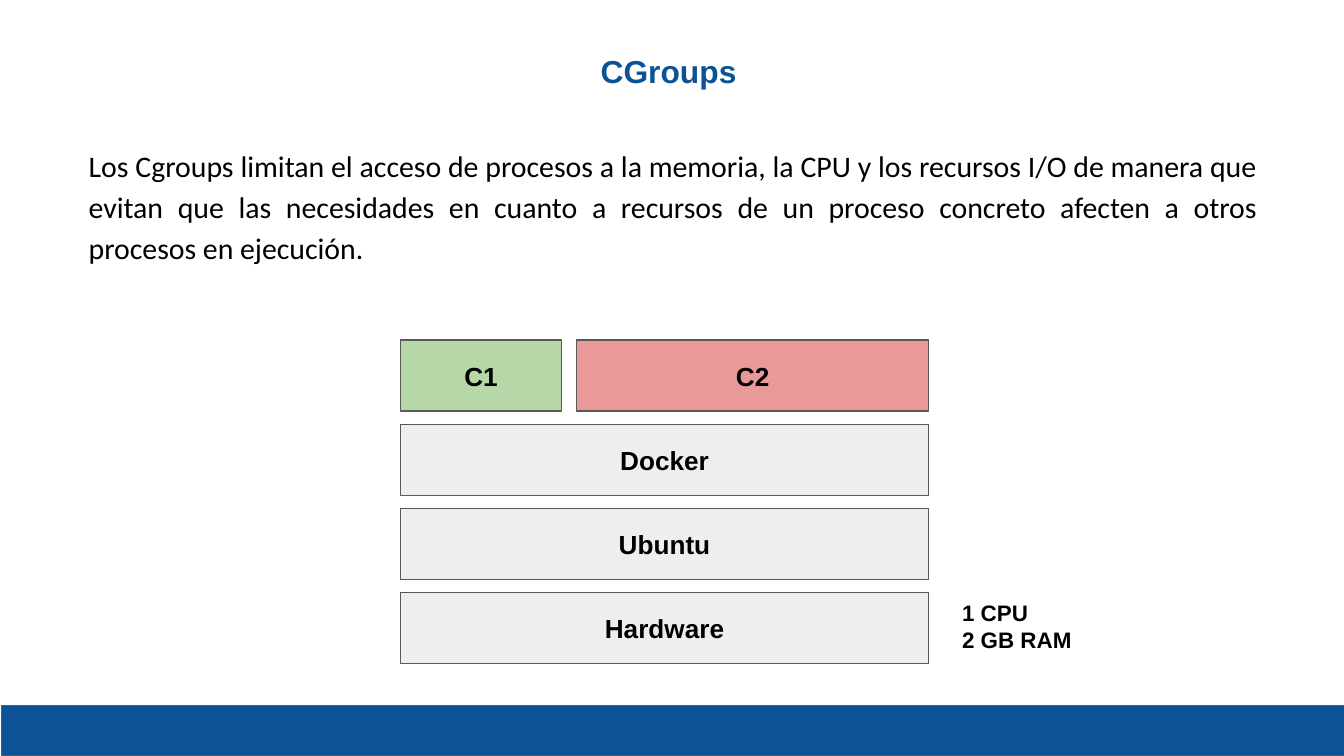
from lxml.etree import SubElement
from pptx import Presentation
from pptx.dml.color import RGBColor
from pptx.enum.shapes import MSO_SHAPE as Shape
from pptx.enum.text import MSO_ANCHOR as Anchor, MSO_AUTO_SIZE as AutoSize, PP_ALIGN as Align
from pptx.oxml.ns import qn
from pptx.util import Inches, Pt

BLUE = RGBColor(0x0B, 0x53, 0x94)
GRAY = RGBColor(0xEE, 0xEE, 0xEE)
GREEN = RGBColor(0xB6, 0xD7, 0xA8)
RED = RGBColor(0xEA, 0x99, 0x99)
OUTLINE = RGBColor(0x59, 0x59, 0x59)
BLACK = RGBColor(0, 0, 0)


def place(part, left, top, width, height):
    """Move a part to a box given in inches."""
    part.left, part.top = Inches(left), Inches(top)
    part.width, part.height = Inches(width), Inches(height)


def remove_bullet(paragraph):
    """Clear the bullet and its indent from a paragraph."""
    properties = paragraph._p.get_or_add_pPr()
    properties.set("marL", "0")
    properties.set("indent", "0")
    SubElement(properties, qn("a:buNone"))


def write(part, text, size, align, color=BLACK, bold=True, name="Arial", anchor=Anchor.MIDDLE):
    """Fill a part with evenly formatted, unbulleted text and return its paragraphs."""
    frame = part.text_frame
    frame.text = text
    frame.word_wrap = True
    frame.auto_size = AutoSize.NONE
    frame.vertical_anchor = anchor
    frame.margin_left = frame.margin_right = Inches(0.1)
    frame.margin_top = frame.margin_bottom = Inches(0.1)
    for paragraph in frame.paragraphs:
        remove_bullet(paragraph)
        paragraph.alignment = align
        font = paragraph.font
        font.name, font.size, font.bold = name, Pt(size), bold
        font.color.rgb = color
    return frame.paragraphs


def add_block(slide, left, top, width, height, fill, label=""):
    """Draw an outlined rectangle with an optional centred label."""
    block = slide.shapes.add_shape(
        Shape.RECTANGLE, Inches(left), Inches(top), Inches(width), Inches(height))
    block.shadow.inherit = False
    block.fill.solid()
    block.fill.fore_color.rgb = fill
    block.line.color.rgb = OUTLINE
    block.line.width = Pt(0.75)
    if label:
        write(block, label, 14, Align.CENTER)


def add_heading(slide, left, top, width, height):
    """Place the slide title."""
    title = slide.shapes.title
    place(title, left, top, width, height)
    write(title, "CGroups", 17, Align.CENTER, BLUE)


def add_definition(slide, left, top, width, height):
    """Place the justified definition."""
    body = slide.placeholders[1]
    place(body, left, top, width, height)
    text = ("Los Cgroups limitan el acceso de procesos a la memoria, la CPU y los recursos I/O "
            "de manera que evitan que las necesidades en cuanto a recursos de un proceso "
            "concreto afecten a otros procesos en ejecución.")
    paragraph = write(body, text, 16, Align.JUSTIFY, bold=False, name="Calibri",
                      anchor=Anchor.TOP)[0]
    paragraph.line_spacing = 1.15
    paragraph.space_before = Pt(0)


def add_stack(slide, left, top, width, height):
    """Draw the containers above the layers that they share."""
    layers = ("Docker", "Ubuntu", "Hardware")
    layer_height = 0.53
    pitch = (height - layer_height) / len(layers)
    first_width, gap = 1.2, 0.11
    second_left = first_width + gap
    add_block(slide, left, top, first_width, layer_height, GREEN, "C1")
    add_block(slide, left + second_left, top, width - second_left, layer_height, RED, "C2")
    for row, layer in enumerate(layers, start=1):
        add_block(slide, left, top + row * pitch, width, layer_height, GRAY, layer)


def add_resources(slide, left, top, width, height):
    """List the hardware resources beside the stack."""
    resources = slide.shapes.add_textbox(
        Inches(left), Inches(top), Inches(width), Inches(height))
    write(resources, "1 CPU\n2 GB RAM", 12, Align.LEFT, anchor=Anchor.TOP)


def main():
    """Build and save the slide."""
    deck = Presentation()
    deck.slide_width, deck.slide_height = Inches(10), Inches(10 * 9 / 16)
    slide = deck.slides.add_slide(deck.slide_layouts[1])
    add_block(slide, 0.01, 5.25, 10, 0.37, BLUE)
    add_heading(slide, 3.36, 0.28, 3.23, 0.49)
    add_definition(slide, 0.56, 0.96, 8.9, 1.09)
    add_stack(slide, 2.98, 2.53, 3.93, 2.41)
    add_resources(slide, 7.06, 4.36, 1.48, 0.61)
    deck.save("out.pptx")


if __name__ == "__main__":
    main()
